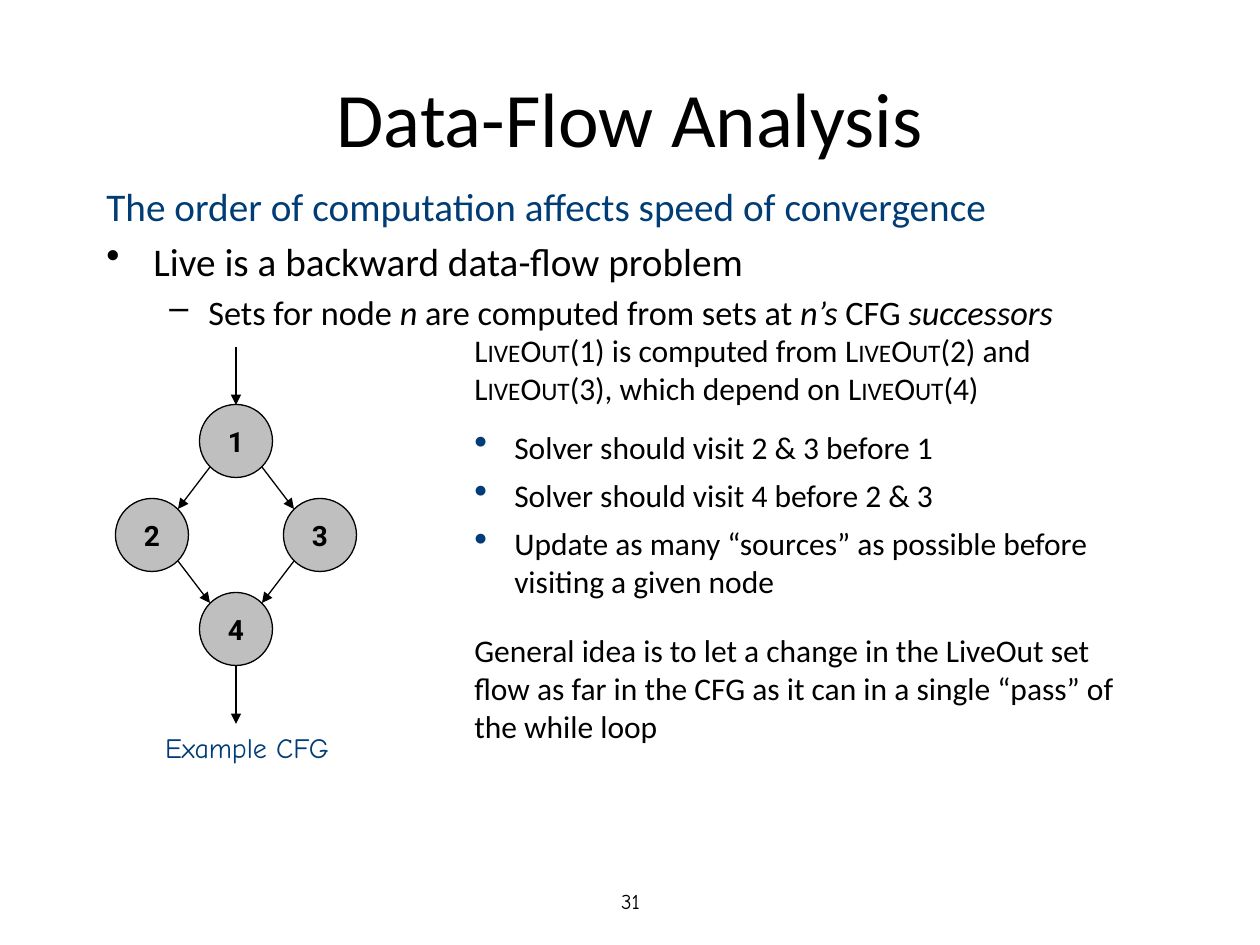
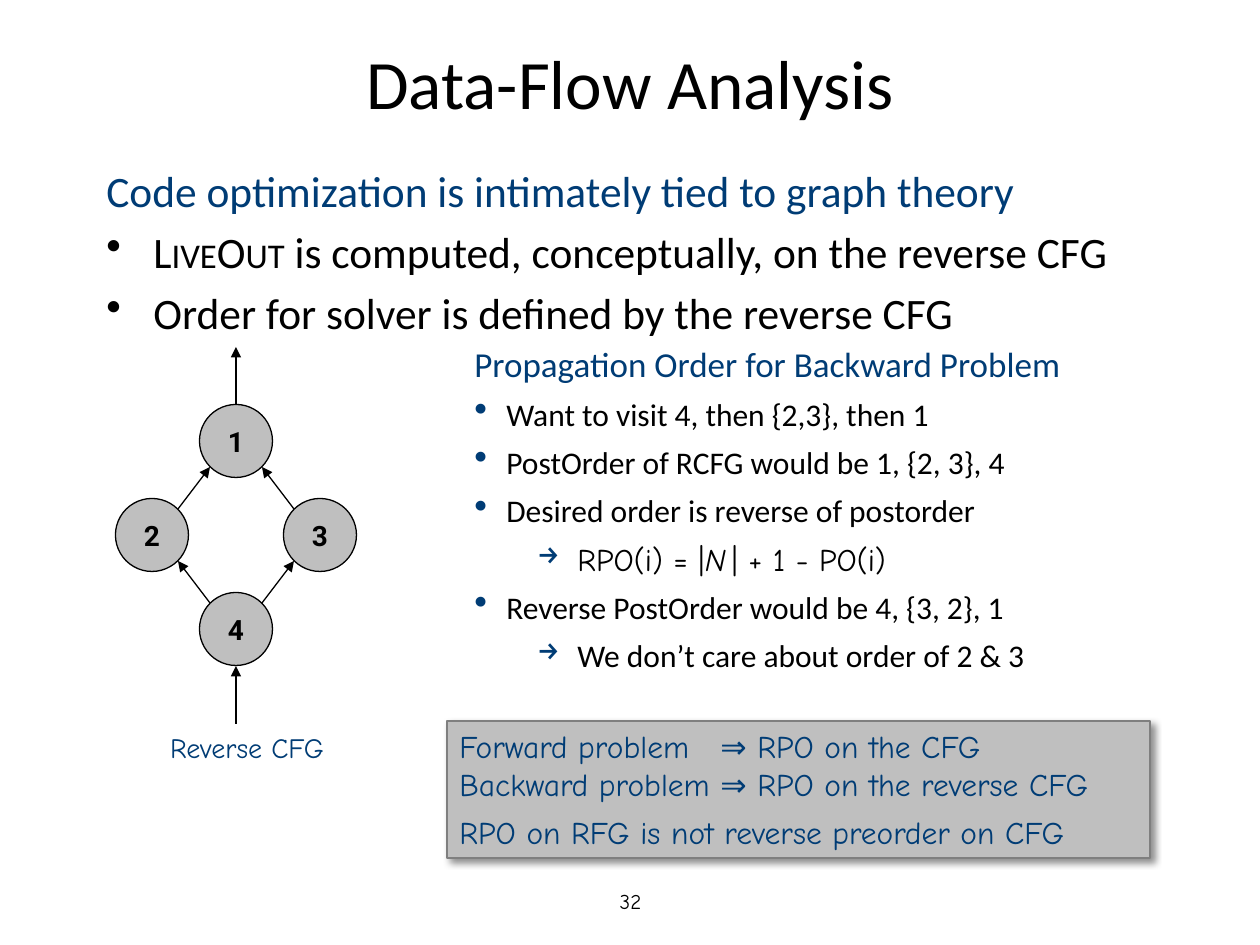
import pptx
import pptx.util
import pptx.dml.color
import pptx.enum.shapes
import pptx.enum.text
import pptx.oxml.ns
import lxml.etree

RGB = pptx.dml.color.RGBColor
BLACK = RGB(0x00, 0x00, 0x00)
NAVY = RGB(0x00, 0x3C, 0x75)
SILVER = RGB(0xBF, 0xBF, 0xBF)
GRAY = RGB(0x7F, 0x7F, 0x7F)
SANS, COMIC, BOLD = "Calibri", "Comic Neue", "Roboto"
SHAPE = pptx.enum.shapes.MSO_SHAPE
LINE = pptx.enum.shapes.MSO_CONNECTOR.STRAIGHT
CENTER = pptx.enum.text.PP_ALIGN.CENTER
LEFT = pptx.enum.text.PP_ALIGN.LEFT
MIDDLE = pptx.enum.text.MSO_ANCHOR.MIDDLE
TOP = pptx.enum.text.MSO_ANCHOR.TOP

DOT = dict(mark="•", tint=NAVY, scale=120, before=6)
ARROW = dict(mark="→", tint=NAVY, scale=90, before=6, level=1, margin=103, hang=40)
LIVE = ("LiveOut", "small")


def px(count):
    return round(count * 914400 / 126)


def node(parent, tag, **attrs):
    child = lxml.etree.SubElement(parent, pptx.oxml.ns.qn(tag))
    for key, value in attrs.items():
        child.set(key, str(value))
    return child


def bullet(props, mark, tint, scale, margin, hang):
    props.set("marL", str(px(margin)))
    props.set("indent", str(-px(hang)))
    if tint is not None:
        node(node(props, "a:buClr"), "a:srgbClr", val=tint)
    node(props, "a:buSzPct", val=scale * 1000)
    node(props, "a:buChar", char=mark)


def style(run, kind):
    if kind == "small":
        run.font._element.set("cap", "small")
    elif kind == "italic":
        run.font.italic = True
    else:
        run.font.size = pptx.util.Pt(kind)


def write(frame, items, size, font=SANS, color=BLACK, align=LEFT, anchor=TOP):
    frame.word_wrap = True
    frame.vertical_anchor = anchor
    for index, (parts, opts) in enumerate(items):
        para = frame.paragraphs[0] if index == 0 else frame.add_paragraph()
        para.alignment = align
        para.level = opts.get("level", 0)
        props = para._p.get_or_add_pPr()
        if "mark" in opts:
            bullet(props, opts["mark"], opts.get("tint"), opts.get("scale", 100),
                   opts["margin"], opts["hang"])
        if "tab" in opts:
            node(node(props, "a:tabLst"), "a:tab", pos=px(opts["tab"]), algn="l")
        if index and "before" in opts:
            para.space_before = pptx.util.Pt(opts["before"])
        para.font.size = pptx.util.Pt(opts.get("size", size))
        para.font.name = opts.get("font", font)
        para.font.color.rgb = opts.get("color", color)
        for part in [parts] if isinstance(parts, str) else parts:
            text, kind = (part, None) if isinstance(part, str) else part
            run = para.add_run()
            run.text = text
            if kind:
                style(run, kind)


def label(slide, box, items, size, **look):
    frame = slide.shapes.add_textbox(*map(px, box)).text_frame
    write(frame, items, size, **look)


def frame_page(slide, number, box, size):
    label(slide, box, [("Data-Flow Analysis", {})], size, align=CENTER, anchor=MIDDLE)
    label(slide, (431, 876, 399, 50), [(number, {})], 12,
          font=COMIC, align=CENTER, anchor=MIDDLE)


def draw_node(group, name, x, y, size):
    disc = group.shapes.add_shape(SHAPE.OVAL, px(x - size / 2), px(y - size / 2),
                                  px(size), px(size))
    disc.shadow.inherit = False
    disc.fill.solid()
    disc.fill.fore_color.rgb = SILVER
    disc.line.color.rgb = BLACK
    disc.line.width = pptx.util.Pt(0.75)
    frame = disc.text_frame
    frame.margin_left = frame.margin_right = frame.margin_top = frame.margin_bottom = 0
    write(frame, [(name, {})], 16, font=BOLD, align=CENTER, anchor=MIDDLE)
    frame.paragraphs[0].font.bold = True


def draw_edge(group, start, end, tip):
    edge = group.shapes.add_connector(LINE, *map(px, start + end))
    edge.line.color.rgb = BLACK
    edge.line.width = pptx.util.Pt(0.75)
    node(edge.line._get_or_add_ln(), tip, type="triangle")
    node(edge._element.spPr, "a:effectLst")


def draw_graph(slide, box, caption, tip):
    left, top, width, height = box
    size, step, rise, stem, slant = 73, 84, 94, 58, 26
    mid = left + width // 2
    first = top + stem + size // 2
    spots = {"1": (mid, first), "2": (mid - step, first + rise),
             "3": (mid + step, first + rise), "4": (mid, first + 2 * rise)}
    group = slide.shapes.add_group_shape()
    for name, (x, y) in spots.items():
        draw_node(group, name, x, y, size)
    for source, target in ("12", "13", "34", "24"):
        (x1, y1), (x2, y2) = spots[source], spots[target]
        side = slant if x2 > x1 else -slant
        draw_edge(group, (x1 + side, y1 + slant), (x2 - side, y2 - slant), tip)
    draw_edge(group, (mid, top), (mid, top + stem), tip)
    draw_edge(group, (mid, top + height - stem), (mid, top + height), tip)
    label(slide, (left, top + height, 262, 47), [(caption, {})], 16,
          font=COMIC, color=NAVY, align=CENTER)


def draw_rule(slide, box):
    panel = slide.shapes.add_shape(SHAPE.RECTANGLE, *map(px, box))
    panel.fill.solid()
    panel.fill.fore_color.rgb = SILVER
    panel.line.color.rgb = GRAY
    panel.line.width = pptx.util.Pt(1.5)
    panel.shadow.inherit = False
    effects = panel._element.spPr.find(pptx.oxml.ns.qn("a:effectLst"))
    shade = node(effects, "a:outerShdw", blurRad=50800, dist=38100,
                 dir=2700000, algn="tl", rotWithShape=0)
    node(node(shade, "a:srgbClr", val=BLACK), "a:alpha", val=43000)
    write(panel.text_frame, [
        ("Forward problem\t⇒ RPO on the CFG", dict(tab=261)),
        ("Backward problem\t⇒ RPO on the reverse CFG", dict(tab=261)),
        ("RPO on RFG is not reverse preorder on CFG", dict(before=6)),
    ], 18, font=COMIC, color=NAVY)


def build_order(slide):
    frame_page(slide, "31", (63, 38, 1134, 157), 44)
    label(slide, (94, 176, 1071, 150), [
        ("The order of computation affects speed of convergence", dict(color=NAVY)),
        ("Live is a backward data-flow problem",
         dict(mark="•", margin=47, hang=47, before=4.5)),
        (["Sets for node ", ("n", "italic"), " are computed from sets at ",
          ("n’s", "italic"), " CFG ", ("successors", "italic")],
         dict(mark="–", level=1, margin=102, hang=39, before=4, size=19.6)),
    ], 22.4)
    draw_graph(slide, (116, 347, 241, 377), "Example CFG", "a:tailEnd")
    dot = dict(DOT, margin=40, hang=40)
    label(slide, (462, 325, 703, 494), [
        ([LIVE, "(1) is computed from ", LIVE, "(2) and ",
          LIVE, "(3), which depend on ", LIVE, "(4)"], {}),
        ("Solver should visit 2 & 3 before 1", dict(dot, before=12)),
        ("Solver should visit 4 before 2 & 3", dot),
        ("Update as many “sources” as possible before visiting a given node", dot),
        ("General idea is to let a change in the LiveOut set flow as far in the CFG "
         "as it can in a single “pass” of the while loop", dict(before=18)),
    ], 18)


def build_theory(slide):
    frame_page(slide, "32", (63, 38, 1134, 88), 39.6)
    dot = dict(mark="•", margin=47, hang=47, before=5)
    label(slide, (94, 158, 1071, 189), [
        ("Code optimization is intimately tied to graph theory", dict(color=NAVY)),
        ([LIVE, " is computed, conceptually, on the reverse CFG"], dot),
        ("Order for solver is defined by the reverse CFG", dot),
    ], 24.8)
    draw_graph(slide, (116, 347, 241, 377), "Reverse CFG", "a:headEnd")
    dot = dict(DOT, margin=32, hang=32)
    label(slide, (462, 336, 703, 368), [
        ("Propagation Order for Backward Problem", dict(size=20, color=NAVY)),
        ("Want to visit 4, then {2,3}, then 1", dot),
        ("PostOrder of RCFG would be 1, {2, 3}, 4", dot),
        ("Desired order is reverse of postorder", dot),
        (["RPO(i) = |", ("N", "italic"), (" ", 10.5), "| + 1 - PO(i)"],
         dict(ARROW, font=COMIC)),
        ("Reverse PostOrder would be 4, {3, 2}, 1", dot),
        ("We don’t care about order of 2 & 3", ARROW),
    ], 18)
    draw_rule(slide, (447, 721, 703, 137))


def main():
    deck = pptx.Presentation()
    deck.slide_width, deck.slide_height = px(1260), px(945)
    for build in (build_order, build_theory):
        build(deck.slides.add_slide(deck.slide_layouts[6]))
    deck.save("out.pptx")


if __name__ == "__main__":
    main()
